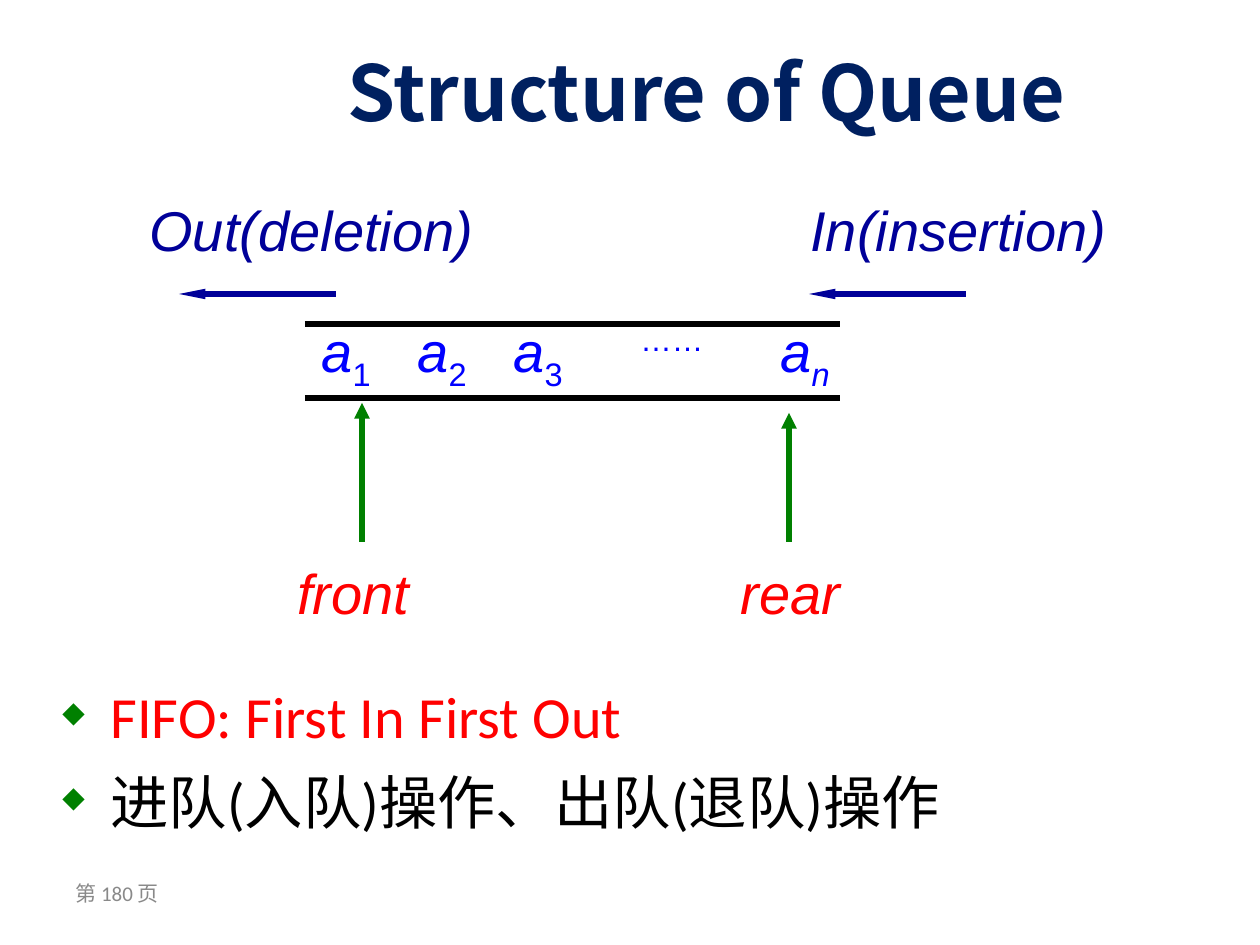
from lxml.etree import SubElement as add_child
from pptx import Presentation
from pptx.dml.color import RGBColor
from pptx.enum.shapes import MSO_CONNECTOR as Connector
from pptx.enum.text import MSO_ANCHOR as Anchor, PP_ALIGN as Align
from pptx.oxml.ns import qn
from pptx.util import Emu, Pt

SCALE = 914400 / 126
COLORS = {
    "title": "002060", "label": "000099", "item": "0000FF", "pointer": "FF0000",
    "arrow": "008000", "ink": "000000", "footer": "898989",
}
CJK = "Noto Sans CJK SC"


def px(length):
    return Emu(round(length * SCALE))


def color(name):
    return RGBColor.from_string(COLORS[name])


def add_span(para, text, size=32, font="Arial", fill="ink", bold=False, italic=False, sub=False):
    span = para.add_run()
    span.text = text
    style = span.font
    style.size, style.name, style.bold, style.italic = Pt(size), font, bold, italic
    style.color.rgb = color(fill)
    if sub:
        style._element.set("baseline", "-25000")
    add_child(style._element, qn("a:ea"), typeface=CJK)


class QueueSlide:
    """Holds the current slide and draws each kind of element on it."""

    def __init__(self, deck):
        self.slide = deck.slides.add_slide(deck.slide_layouts[6])

    def box(self, left, top, width, height, wrap=True, anchor=Anchor.TOP):
        frame = self.slide.shapes.add_textbox(*map(px, (left, top, width, height))).text_frame
        frame.word_wrap = wrap
        frame.vertical_anchor = anchor
        return frame

    def text(self, area, text, align=Align.LEFT, wrap=False, anchor=Anchor.TOP, **style):
        para = self.box(*area, wrap=wrap, anchor=anchor).paragraphs[0]
        para.alignment = align
        add_span(para, text, **style)

    def items(self, area, names, stops):
        """Place each item with its subscript at a tab stop."""
        frame = self.box(*area)
        frame.margin_right = 0
        para = frame.paragraphs[0]
        tabs = add_child(para._p.get_or_add_pPr(), qn("a:tabLst"))
        for stop in stops:
            add_child(tabs, qn("a:tab"), pos=str(px(stop)), algn="l")
        for index, name in enumerate(names):
            add_span(para, "\ta" if index else "a", fill="item", italic=True)
            add_span(para, name, fill="item", italic=name.isalpha(), sub=True)

    def bullets(self, area, lines):
        frame = self.box(*area)
        for index, (text, fill) in enumerate(lines):
            para = frame.add_paragraph() if index else frame.paragraphs[0]
            para.space_before = Pt(9 if index else 0)
            props = para._p.get_or_add_pPr()
            props.set("marL", str(px(48)))
            props.set("indent", str(px(-48)))
            bullet_color = add_child(props, qn("a:buClr"))
            add_child(bullet_color, qn("a:srgbClr"), val=COLORS["arrow"])
            add_child(props, qn("a:buSzPct"), val="50000")
            add_child(props, qn("a:buChar"), char="◆")
            add_span(para, text, size=33.3, font="Calibri", fill=fill)

    def line(self, start, end, fill, head=None):
        """Draw a line; head is the (width, length) of its arrowhead."""
        line = self.slide.shapes.add_connector(Connector.STRAIGHT, *map(px, start + end))
        line.line.color.rgb = color(fill)
        line.line.width = Pt(3)
        if head:
            add_child(line.line._get_or_add_ln(), qn("a:tailEnd"),
                      type="triangle", w=head[0], len=head[1])
        add_child(line._element.spPr, qn("a:effectLst"))


def main():
    deck = Presentation()
    deck.slide_width, deck.slide_height = px(1260), px(945)
    page = QueueSlide(deck)

    page.text((63, 861, 294, 65), "第 180 页", wrap=True, anchor=Anchor.MIDDLE,
              size=12, font="Calibri", fill="footer")
    page.text((213, 45, 987, 91), "Structure of Queue", align=Align.CENTER, wrap=True,
              anchor=Anchor.MIDDLE, size=44, font=CJK, fill="title", bold=True)
    page.bullets((50, 674, 1085, 204), [
        ("FIFO: First In First Out", "pointer"),
        ("进队(入队)操作、出队(退队)操作", "ink"),
    ])

    for y in (324, 398):
        page.line((305, y), (840, y), "ink")
    page.items((309, 310, 533, 89), "123n", stops=(96, 192, 459))
    page.text((628, 314, 88, 50), "……", size=18, fill="item")

    for name, left, width, x, tip in (("front", 285, 137, 362, 403), ("rear", 728, 125, 789, 413)):
        page.text((left, 552, width, 81), name, fill="pointer", italic=True)
        page.line((x, 542), (x, tip), "arrow", head=("med", "med"))
    for name, left, width, x in (("Out(deletion)", 137, 349, 336), ("In(insertion)", 798, 321, 966)):
        page.text((left, 189, width, 81), name, fill="label", italic=True)
        page.line((x, 294), (x - 157, 294), "label", head=("sm", "lg"))

    deck.save("out.pptx")


if __name__ == "__main__":
    main()
